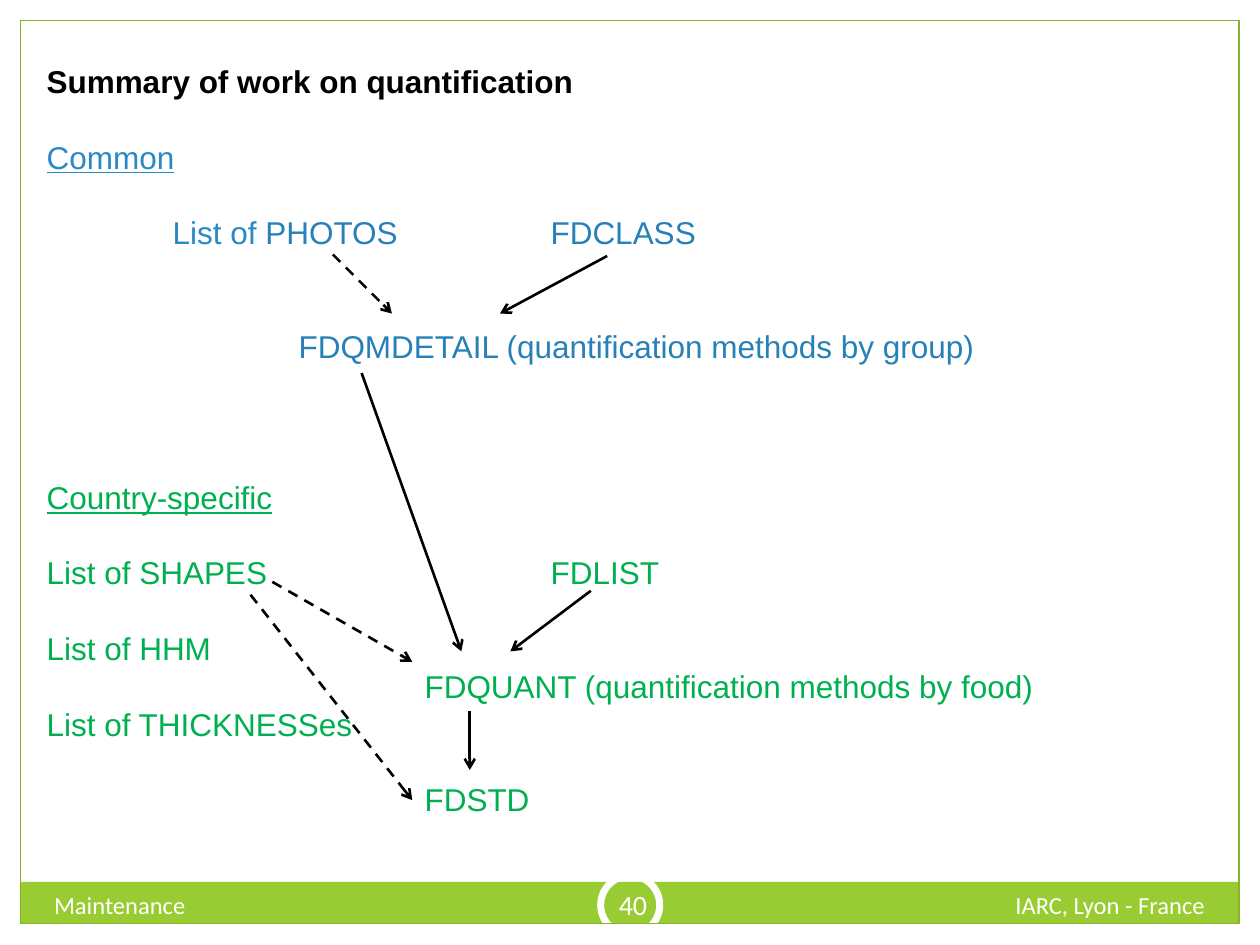
from lxml import etree
from pptx import Presentation
from pptx.dml.color import RGBColor
from pptx.enum.dml import MSO_LINE
from pptx.enum.shapes import MSO_CONNECTOR, MSO_SHAPE
from pptx.enum.text import MSO_ANCHOR, PP_ALIGN
from pptx.oxml.ns import qn
from pptx.util import Cm, Pt

LEFT, CENTER, RIGHT = PP_ALIGN.LEFT, PP_ALIGN.CENTER, PP_ALIGN.RIGHT
TOP, MIDDLE = MSO_ANCHOR.TOP, MSO_ANCHOR.MIDDLE
RECTANGLE, OVAL = MSO_SHAPE.RECTANGLE, MSO_SHAPE.OVAL
STRAIGHT, DASH = MSO_CONNECTOR.STRAIGHT, MSO_LINE.DASH

COLORS = {"title": "000000", "heading": "2A89C4", "common": "2780B7",
          "country": "00B050", "band": "99CC33", "frame": "86B32C",
          "white": "FFFFFF", "arrow": "000000"}
LINE_PITCH = 21.6  # points
TAB_STEP = 2.54  # cm

# Body lines: empty lines above, then runs of (text, colour, style)
BODY = [
    (0, [("Summary of work on quantification", "title", "bold")]),
    (1, [("Common", "heading", "underline")]),
    (1, [("\tList of ", "heading", ""), ("PHOTOS\t\tFDCLASS", "common", "")]),
    (2, [("\t\tFDQMDETAIL (quantification methods by group)", "common", "")]),
    (3, [("Country-specific", "country", "underline")]),
    (1, [("List of SHAPES\t\t\tFDLIST", "country", "")]),
    (1, [("List of HHM", "country", "")]),
    (0, [("\t\t\tFDQUANT (quantification methods by food)", "country", "")]),
    (0, [("List of THICKNESSes", "country", "")]),
    (1, [("\t\t\tFDSTD", "country", "")]),
]

# Arrows in cm: start, end, dashed
ARROWS = [
    ((12.24, 5.16), (10.08, 6.32), False),  # FDCLASS to FDQMDETAIL
    ((6.71, 5.13), (7.9, 6.32), True),      # PHOTOS to FDQMDETAIL
    ((7.29, 7.52), (9.3, 13.13), False),    # FDQMDETAIL to FDQUANT
    ((11.91, 11.91), (10.29, 13.13), False),  # FDLIST to FDQUANT
    ((5.49, 11.73), (8.31, 13.34), True),   # SHAPES to FDQUANT
    ((9.47, 14.33), (9.47, 15.52), False),  # FDQUANT to FDSTD
    ((5.05, 11.99), (8.31, 16.13), True),   # SHAPES to FDSTD
]

# Footer: text, place in cm, format
FOOTER = [
    ("IARC, Lyon - France", (16.08, 17.81, 8.46, 1.02), {"align": RIGHT}),
    ("Maintenance", (0.84, 17.81, 9.96, 1.02), {}),
    ("40", (11.91, 17.63, 1.7, 1.22),
     {"size": 16, "align": CENTER, "anchor": MIDDLE, "margin": 0.13}),
]


def add_panel(page, kind, place, fill=None, line=None, width=0):
    panel = page.shapes.add_shape(kind, *map(Cm, place))
    panel.shadow.inherit = False
    if fill:
        panel.fill.solid()
        panel.fill.fore_color.rgb = RGBColor.from_string(COLORS[fill])
    else:
        panel.fill.background()
    if line:
        panel.line.color.rgb = RGBColor.from_string(COLORS[line])
        panel.line.width = Pt(width)
    else:
        panel.line.fill.background()


def add_text(page, lines, place, font="Calibri", size=14, align=LEFT,
             anchor=TOP, margin=0.25, pitch=None, tabs=0):
    box = page.shapes.add_textbox(*map(Cm, place))
    frame = box.text_frame
    frame.word_wrap = True
    frame.vertical_anchor = anchor
    frame.margin_left = frame.margin_right = Cm(margin)
    frame.margin_top = frame.margin_bottom = Cm(0.13)
    for number, (gap, runs) in enumerate(lines):
        para = frame.add_paragraph() if number else frame.paragraphs[0]
        if tabs:
            stops = etree.SubElement(para._p.get_or_add_pPr(), qn("a:tabLst"))
            for stop in range(1, tabs + 1):
                etree.SubElement(stops, qn("a:tab"),
                                 pos=str(Cm(stop * TAB_STEP)), algn="l")
        para.alignment = align
        if pitch:
            para.line_spacing = Pt(pitch)
        if gap:
            para.space_before = Pt(gap * pitch)
        for text, color, style in runs:
            span = para.add_run()
            span.text = text
            span.font.name = font
            span.font.size = Pt(size)
            span.font.bold = style == "bold"
            span.font.underline = style == "underline"
            span.font.color.rgb = RGBColor.from_string(COLORS[color])


def add_arrow(page, start, end, dashed):
    arrow = page.shapes.add_connector(STRAIGHT, *map(Cm, start + end))
    arrow.line.color.rgb = RGBColor.from_string(COLORS["arrow"])
    arrow.line.width = Pt(1.5)
    if dashed:
        arrow.line.dash_style = DASH
    etree.SubElement(arrow.line._get_or_add_ln(), qn("a:tailEnd"), type="arrow")
    etree.SubElement(arrow._element.spPr, qn("a:effectLst"))


def main():
    deck = Presentation()
    deck.slide_width, deck.slide_height = Cm(25.4), Cm(19.05)
    page = deck.slides.add_slide(deck.slide_layouts[6])

    # Footer band, number ring, bottom margin and page frame
    add_panel(page, RECTANGLE, (0.42, 17.78, 24.56, 0.84), fill="band")
    add_panel(page, OVAL, (12.11, 17.65, 1.19, 1.19), line="white", width=4)
    add_panel(page, RECTANGLE, (0, 18.62, 25.4, 0.43), fill="white")
    add_panel(page, RECTANGLE, (0.42, 0.42, 24.56, 18.2), line="frame", width=0.75)

    # Texts
    for text, place, style in FOOTER:
        add_text(page, [(0, [(text, "white", "")])], place, **style)
    add_text(page, BODY, (0.69, 1.12, 23.01, 17.78), font="Arial", size=18,
             pitch=LINE_PITCH, tabs=7)

    # Arrows
    for start, end, dashed in ARROWS:
        add_arrow(page, start, end, dashed)

    deck.save("out.pptx")


if __name__ == "__main__":
    main()
